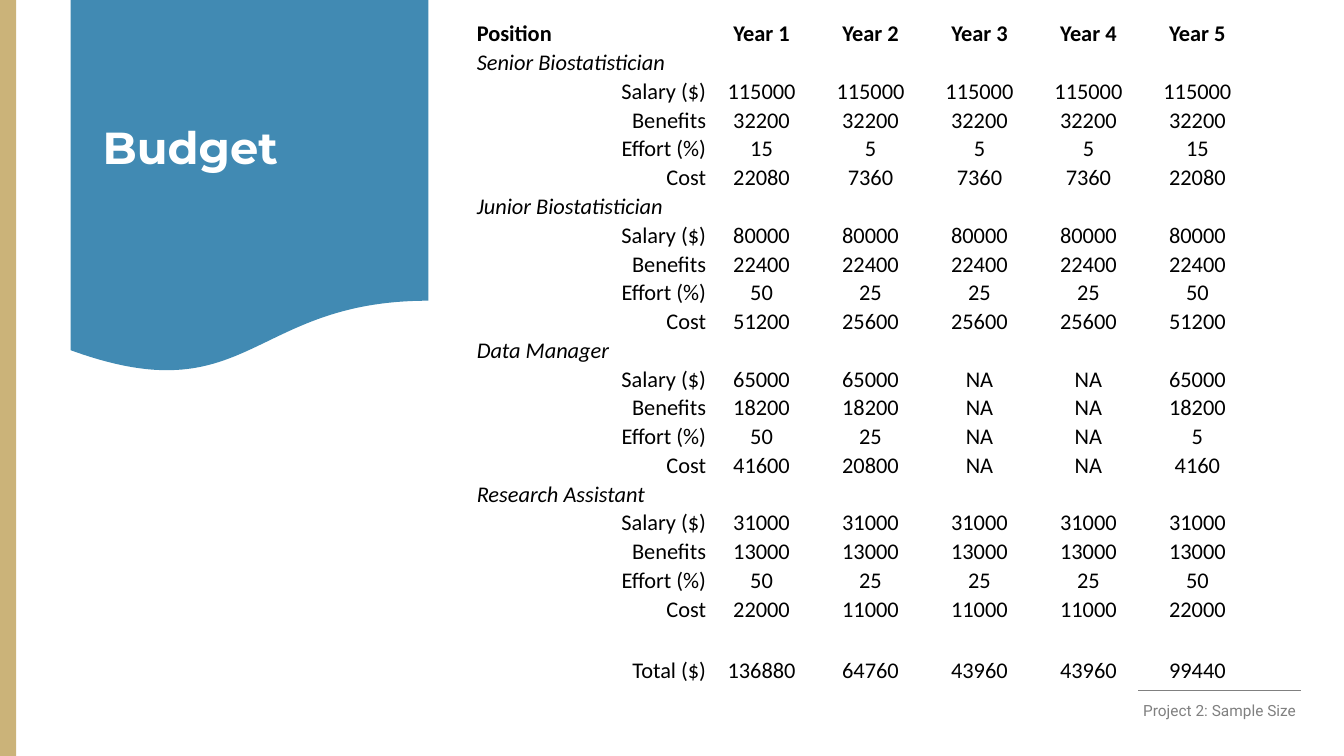
from collections import namedtuple

from lxml.etree import SubElement
from pptx import Presentation
from pptx.dml.color import RGBColor
from pptx.enum.shapes import MSO_CONNECTOR, MSO_SHAPE
from pptx.enum.text import MSO_ANCHOR, PP_ALIGN
from pptx.oxml.ns import qn
from pptx.util import Inches, Pt

GOLD, BLUE, GREY, WHITE, BLACK = "CBB379", "418AB3", "808080", "FFFFFF", "000000"
PLAIN_TABLE_STYLE = "{2D5ABB26-0587-4C30-8999-92F81FD0307C}"
LABELS = ["Salary ($)", "Benefits", "Effort (%)", "Cost"]
YEARS = [f"Year {number}" for number in range(1, 6)]
POSITIONS = {
    "Senior Biostatistician": [
        [115000] * 5, [32200] * 5, [15, 5, 5, 5, 15],
        [22080, 7360, 7360, 7360, 22080]],
    "Junior Biostatistician": [
        [80000] * 5, [22400] * 5, [50, 25, 25, 25, 50],
        [51200, 25600, 25600, 25600, 51200]],
    "Data Manager": [
        [65000, 65000, "NA", "NA", 65000], [18200, 18200, "NA", "NA", 18200],
        [50, 25, "NA", "NA", 5], [41600, 20800, "NA", "NA", 4160]],
    "Research Assistant": [
        [31000] * 5, [13000] * 5, [50, 25, 25, 25, 50],
        [22000, 11000, 11000, 11000, 22000]],
}
TOTALS = [136880, 64760, 43960, 43960, 99440]

Box = namedtuple("Box", "left top width height")


def part(box, left, top, width, height):
    """Return the area inside box given by percentages of its size."""
    return Box(int(box.left + box.width * left / 100),
               int(box.top + box.height * top / 100),
               int(box.width * width / 100), int(box.height * height / 100))


def color(value):
    return RGBColor.from_string(value)


def add_span(para, text, font, size, fill, bold=False, italic=False):
    span = para.add_run()
    span.text = text
    span.font.name, span.font.size = font, Pt(size)
    span.font.bold, span.font.italic = bold, italic
    span.font.color.rgb = color(fill)


def add_block(slide, kind, box, fill):
    block = slide.shapes.add_shape(kind, *box)
    block.shadow.inherit = False
    block.fill.solid()
    block.fill.fore_color.rgb = color(fill)
    block.line.fill.background()


def add_title_panel(slide, box, title):
    add_block(slide, MSO_SHAPE.FLOWCHART_DOCUMENT, box, BLUE)
    frame = slide.shapes.add_textbox(*part(box, 6.2, 5.1, 87.6, 69.6)).text_frame
    frame.word_wrap = True
    frame.vertical_anchor = MSO_ANCHOR.MIDDLE
    para = frame.paragraphs[0]
    para.line_spacing, para.space_after = 0.9, Pt(6)
    add_span(para, title, "Montserrat", 32, WHITE, bold=True)


def add_footer(slide, box, text):
    rule = part(box, 15.7, 0, 68.6, 0)
    line = slide.shapes.add_connector(
        MSO_CONNECTOR.STRAIGHT, rule.left, rule.top, rule.left + rule.width, rule.top)
    line.line.color.rgb = color(GREY)
    line.line.width = Pt(0.5)
    SubElement(line._element.spPr, qn("a:effectLst"))
    frame = slide.shapes.add_textbox(*part(box, 0, 17.1, 100, 82.9)).text_frame
    frame.word_wrap = True
    para = frame.paragraphs[0]
    para.alignment = PP_ALIGN.CENTER
    add_span(para, text, "Roboto", 11, GREY)


def budget_rows():
    rows = [["Position", *YEARS]]
    for position, figures in POSITIONS.items():
        rows.append([position])
        rows += [[label, *values] for label, values in zip(LABELS, figures)]
    return rows + [[], ["Total ($)", *TOTALS]]


def fill_cell(cell, text, alignment, bold, italic):
    cell.fill.background()
    cell.vertical_anchor = MSO_ANCHOR.BOTTOM
    cell.margin_left = cell.margin_right = cell.margin_top = Inches(0.01)
    cell.margin_bottom = 0
    para = cell.text_frame.paragraphs[0]
    para.alignment = alignment
    if text:
        add_span(para, text, "Calibri", 16, BLACK, bold, italic)
    else:  # keeps an empty cell from stretching its row
        SubElement(para._p, qn("a:endParaRPr"), sz="1600")


def add_budget_table(slide, box):
    rows = budget_rows()
    frame = slide.shapes.add_table(len(rows), len(YEARS) + 1, *box)
    table = frame.table
    table.first_row = table.horz_banding = False
    table._tbl.tblPr.find(qn("a:tableStyleId")).text = PLAIN_TABLE_STYLE

    # Column and row sizes, with a taller spacer before the total
    for index, column in enumerate(table.columns):
        column.width = int(box.width * (14.04 if index else 29.8) / 100)
    spacer = Inches(0.32)
    for values, row in zip(rows, table.rows):
        row.height = (box.height - spacer) // (len(rows) - 1) if values else spacer

    for row_index, values in enumerate(rows):
        is_header, is_position = row_index == 0, len(values) == 1
        label_side = PP_ALIGN.LEFT if is_header or is_position else PP_ALIGN.RIGHT
        for index in range(len(YEARS) + 1):
            text = str(values[index]) if index < len(values) else ""
            fill_cell(table.cell(row_index, index), text,
                      PP_ALIGN.CENTER if index else label_side, is_header, is_position)


def main():
    deck = Presentation()
    deck.slide_width, deck.slide_height = Inches(13.33), Inches(7.5)
    slide = deck.slides.add_slide(deck.slide_layouts[6])
    page = Box(0, 0, deck.slide_width, deck.slide_height)

    add_footer(slide, part(page, 81.9, 91.33, 17.7, 4.67), "Project 2: Sample Size")
    add_block(slide, MSO_SHAPE.RECTANGLE, part(page, 0, 0, 1.2, 100), GOLD)
    add_title_panel(slide, part(page, 5.25, 0, 26.62, 49.6), "Budget")
    add_budget_table(slide, part(page, 35.4, 2.53, 57.75, 88))
    deck.save("out.pptx")


if __name__ == "__main__":
    main()
